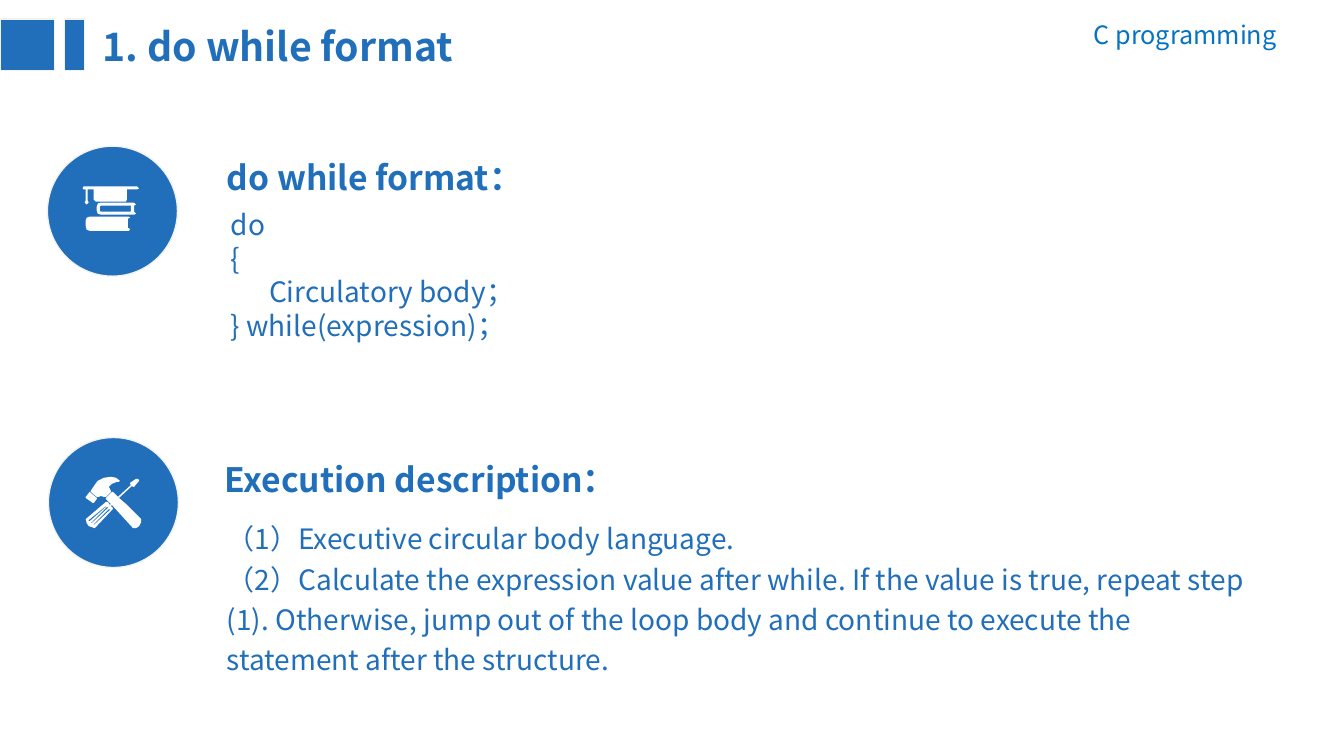
from lxml import etree
from pptx import Presentation
from pptx.dml.color import RGBColor
from pptx.enum.shapes import MSO_SHAPE
from pptx.enum.text import MSO_AUTO_SIZE, PP_ALIGN
from pptx.oxml.ns import qn
from pptx.util import Inches, Pt

RECTANGLE, OVAL = MSO_SHAPE.RECTANGLE, MSO_SHAPE.OVAL
LEFT, RIGHT = PP_ALIGN.LEFT, PP_ALIGN.RIGHT


class Theme:
    font = "Noto Sans CJK SC"
    blue = RGBColor(0x21, 0x6F, 0xBA)
    course = RGBColor(0x05, 0x73, 0xC2)
    white = RGBColor(0xFF, 0xFF, 0xFF)
    edge = RGBColor(0xF2, 0xF2, 0xF2)
    title, heading, body, label = 28, 24, 20, 18


# Content: each text is (place, lines, options); a tab marks an indented line
TEXTS = [
    ((9.76, 0.14, 3, 0.4), ["C programming"],
     dict(size=Theme.label, color=Theme.course, align=RIGHT)),
    ((0.92, 0.17, 5.57, 0.57), ["1. do while format"],
     dict(size=Theme.title, bold=True)),
    ((2.15, 1.43, 4.02, 0.58), ["do while format："],
     dict(size=Theme.heading, bold=True, spacing=1.2)),
    ((2.19, 2.01, 10.6, 1.45),
     ["do", "{", "\tCirculatory body；", "} while(expression)；"], {}),
    ((2.13, 4.42, 5.43, 0.58), ["Execution description："],
     dict(size=Theme.heading, bold=True, spacing=1.2)),
    ((2.15, 5.06, 10.36, 1.72),
     ["（1）Executive circular body language.",
      "（2）Calculate the expression value after while. If the value is true, "
      "repeat step (1). Otherwise, jump out of the loop body and continue to "
      "execute the statement after the structure."],
     dict(spacing=1.2)),
]
CODE_INDENT = 0.38

# Title bars: left edge and width
BARS = [(0, 0.54), (0.64, 0.2)]
BAR_TOP, BAR_HEIGHT = 0.19, 0.51

# Icon outlines, in hundredths of an inch on the page
BOOKS_AND_CAP = [
    # Lower book
    [(129, 227), (128, 229), (89, 229), (86, 228), (85, 224), (85, 219),
     (86, 216), (89, 215), (128, 215), (129, 216), (127, 217), (127, 226)],
    # Upper book and its pages
    [(135, 212), (133, 213), (100, 213), (97, 212), (96, 209), (96, 205),
     (97, 202), (100, 201), (133, 201), (135, 203), (133, 204), (133, 210)],
    [(100, 210), (130, 210), (130, 204), (100, 204), (99, 205), (99, 209)],
    # Cap with tassel
    [(136, 185), (83, 185), (82, 187), (83, 188), (85, 188), (85, 199),
     (84, 201), (86, 203), (88, 201), (87, 199), (87, 188), (93, 188),
     (93, 198), (95, 200), (125, 200), (126, 198), (126, 188), (136, 188),
     (138, 187)],
]
HAMMER_AND_DRIVER = [
    # Handle grooves
    [(108, 505), (93, 520), (93, 521), (109, 506), (109, 505)],
    [(106, 503), (90, 519), (91, 519), (107, 504), (107, 503)],
    [(105, 502), (88, 516), (88, 517), (89, 517), (105, 503)],
    # Hammer face
    [(89, 488), (90, 489), (96, 494), (96, 495), (93, 499), (92, 499),
     (85, 494), (85, 493)],
    # Screwdriver crossing the hammer handle
    [(135, 475), (136, 475), (138, 476), (138, 477), (133, 483), (132, 483),
     (131, 482), (118, 494), (125, 500), (140, 515), (140, 518), (138, 522),
     (135, 524), (132, 524), (111, 501), (110, 502), (112, 504), (112, 505),
     (94, 524), (91, 523), (88, 522), (86, 519), (85, 515), (105, 498),
     (107, 498), (109, 501), (110, 500), (105, 495), (105, 494), (111, 488),
     (112, 488), (117, 493), (130, 481), (129, 480), (129, 479)],
    # Hammer head
    [(110, 473), (115, 474), (119, 477), (118, 478), (116, 478), (111, 480),
     (108, 483), (110, 487), (110, 488), (105, 493), (103, 493), (100, 492),
     (98, 493), (96, 493), (90, 488), (90, 487), (94, 481), (97, 477),
     (103, 474)],
]

# Badges: left, top and icon
BADGES = [(0.47, 1.45, BOOKS_AND_CAP), (0.48, 4.34, HAMMER_AND_DRIVER)]
BADGE_SIZE = 1.29


def add_solid(shapes, kind, *place):
    shape = shapes.add_shape(kind, *map(Inches, place))
    shape.shadow.inherit = False
    shape.fill.solid()
    shape.fill.fore_color.rgb = Theme.blue
    shape.line.color.rgb = Theme.edge
    shape.line.width = Pt(1)


def add_icon(shapes, outlines):
    (first, *rest), *others = outlines
    builder = shapes.build_freeform(*first, scale=Inches(0.01))
    builder.add_line_segments(rest, close=True)
    for start, *points in others:
        builder.move_to(*start)
        builder.add_line_segments(points, close=True)
    icon = builder.convert_to_shape()
    icon.shadow.inherit = False
    icon.fill.solid()
    icon.fill.fore_color.rgb = Theme.white
    icon.line.fill.background()


def add_text(shapes, place, lines, size=Theme.body, color=Theme.blue,
             bold=False, align=LEFT, spacing=1.0):
    frame = shapes.add_textbox(*map(Inches, place)).text_frame
    frame.word_wrap = True
    frame.auto_size = MSO_AUTO_SIZE.SHAPE_TO_FIT_TEXT
    for index, line in enumerate(lines):
        para = frame.add_paragraph() if index else frame.paragraphs[0]
        para.text = line.lstrip("\t")
        para.alignment = align
        para.line_spacing = spacing
        font = para.font
        font.name, font.size, font.bold = Theme.font, Pt(size), bold
        font.color.rgb = color
        # East Asian face for the full-width punctuation
        settings = para._p.get_or_add_pPr()
        etree.SubElement(settings.find(qn("a:defRPr")), qn("a:ea"),
                         typeface=Theme.font)
        if line.startswith("\t"):
            settings.set("marL", str(Inches(CODE_INDENT)))
            settings.set("indent", "0")


deck = Presentation()
deck.slide_width, deck.slide_height = Inches(13.33), Inches(7.5)
page = deck.slides.add_slide(deck.slide_layouts[6])

for left, width in BARS:
    add_solid(page.shapes, RECTANGLE, left, BAR_TOP, width, BAR_HEIGHT)

for place, lines, options in TEXTS:
    add_text(page.shapes, place, lines, **options)

for left, top, outlines in BADGES:
    badge = page.shapes.add_group_shape()
    add_solid(badge.shapes, OVAL, left, top, BADGE_SIZE, BADGE_SIZE)
    add_icon(badge.shapes, outlines)

deck.save("out.pptx")
